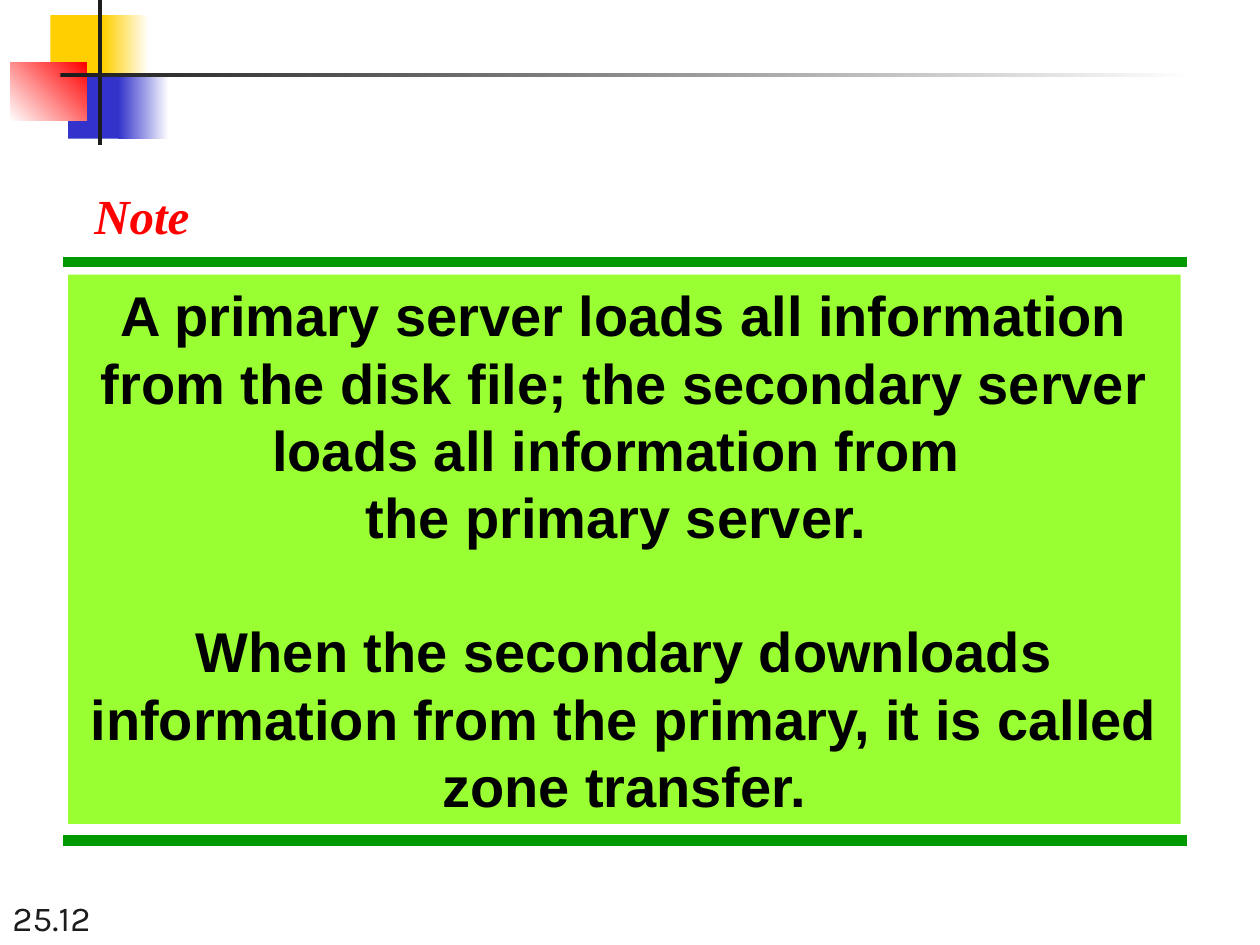
from pptx import Presentation
from pptx.dml.color import RGBColor
from pptx.enum.shapes import MSO_CONNECTOR, MSO_SHAPE
from pptx.enum.text import MSO_ANCHOR, PP_ALIGN
from pptx.oxml.ns import qn
from pptx.util import Inches, Pt

RECTANGLE = MSO_SHAPE.RECTANGLE
STRAIGHT = MSO_CONNECTOR.STRAIGHT
CENTER = PP_ALIGN.CENTER
TOP, BOTTOM = MSO_ANCHOR.TOP, MSO_ANCHOR.BOTTOM

WHITE = RGBColor(0xFF, 0xFF, 0xFF)
BLACK = RGBColor(0x00, 0x00, 0x00)
INK = RGBColor(0x1C, 0x1C, 0x1C)
YELLOW = RGBColor(0xFF, 0xCF, 0x01)
BLUE = RGBColor(0x33, 0x33, 0xCC)
RED = RGBColor(0xFF, 0x00, 0x00)
GREEN = RGBColor(0x00, 0x99, 0x00)
LIME = RGBColor(0x99, 0xFF, 0x33)

NUMBER_FORMAT = {"name": "Karla", "size": Pt(20)}
NOTE_FORMAT = {"name": "Times New Roman", "size": Pt(28), "bold": True, "italic": True}
BODY_FORMAT = {"name": "Arial", "size": Pt(32), "bold": True}
BODY_LEADING = Pt(38.4)

deck = Presentation()
deck.slide_width, deck.slide_height = Inches(10), Inches(7.5)
page = deck.slides.add_slide(deck.slide_layouts[6])


def add_block(place, colors, angle=0):
    """Add a borderless rectangle, solid for one colour and graded for two."""
    block = page.shapes.add_shape(RECTANGLE, *map(Inches, place))
    block.shadow.inherit = False
    block.line.fill.background()
    if len(colors) == 1:
        block.fill.solid()
        block.fill.fore_color.rgb = colors[0]
    else:
        block.fill.gradient()
        block.fill.gradient_angle = angle
        for stop, color in zip(block.fill.gradient_stops, colors):
            stop.color.rgb = color
    return block


def format_text(para, values, color):
    for name, value in values.items():
        setattr(para.font, name, value)
    para.font.color.rgb = color


# Corner ornament: overlapping squares and crossing bars
for place, colors, angle in (
    ((0.4, 0.12, 0.48, 0.52), (YELLOW,), 0),
    ((0.82, 0.12, 0.36, 0.52), (YELLOW, WHITE), 0),
    ((0.54, 0.58, 0.46, 0.52), (BLUE,), 0),
    ((0.94, 0.58, 0.4, 0.52), (BLUE, WHITE), 0),
    ((0.08, 0.5, 0.61, 0.46), (WHITE, RED), 45),
    ((0.78, 0, 0.03, 1.15), (INK,), 0),
    ((0.48, 0.58, 9, 0.03), (INK, WHITE), 0),
):
    add_block(place, colors, angle)

# Green rules above and below the note
for height in (2.08, 6.67):
    rule = page.shapes.add_connector(
        STRAIGHT, Inches(0.5), Inches(height), Inches(9.42), Inches(height)
    )
    rule.line.color.rgb = GREEN
    rule.line.width = Pt(6)
    rule._element.spPr.append(rule._element.makeelement(qn("a:effectLst"), {}))

# Note text; a vertical tab is a line break
panel = add_block((0.54, 2.18, 8.83, 4.36), (LIME,))
frame = panel.text_frame
frame.word_wrap = True
frame.vertical_anchor = TOP
for index, (text, gap) in enumerate((
    ("A primary server loads all information from the disk file; the secondary server", 0),
    ("loads all information from \vthe primary server. ", 0),
    ("When the secondary downloads", BODY_LEADING),
    ("information from the primary, it is called zone transfer.", 0),
)):
    para = frame.add_paragraph() if index else frame.paragraphs[0]
    para.text = text
    para.alignment = CENTER
    para.line_spacing = BODY_LEADING
    if gap:
        para.space_before = gap
    format_text(para, BODY_FORMAT, BLACK)

# Heading and page number
for place, text, values, color, anchor, wrap in (
    ((0.65, 1.42, 0.96, 0.57), "Note", NOTE_FORMAT, RED, TOP, False),
    ((0, 7, 2.08, 0.5), "25.12", NUMBER_FORMAT, INK, BOTTOM, True),
):
    box = page.shapes.add_textbox(*map(Inches, place))
    box.text_frame.word_wrap = wrap
    box.text_frame.vertical_anchor = anchor
    para = box.text_frame.paragraphs[0]
    para.text = text
    format_text(para, values, color)

deck.save("out.pptx")
